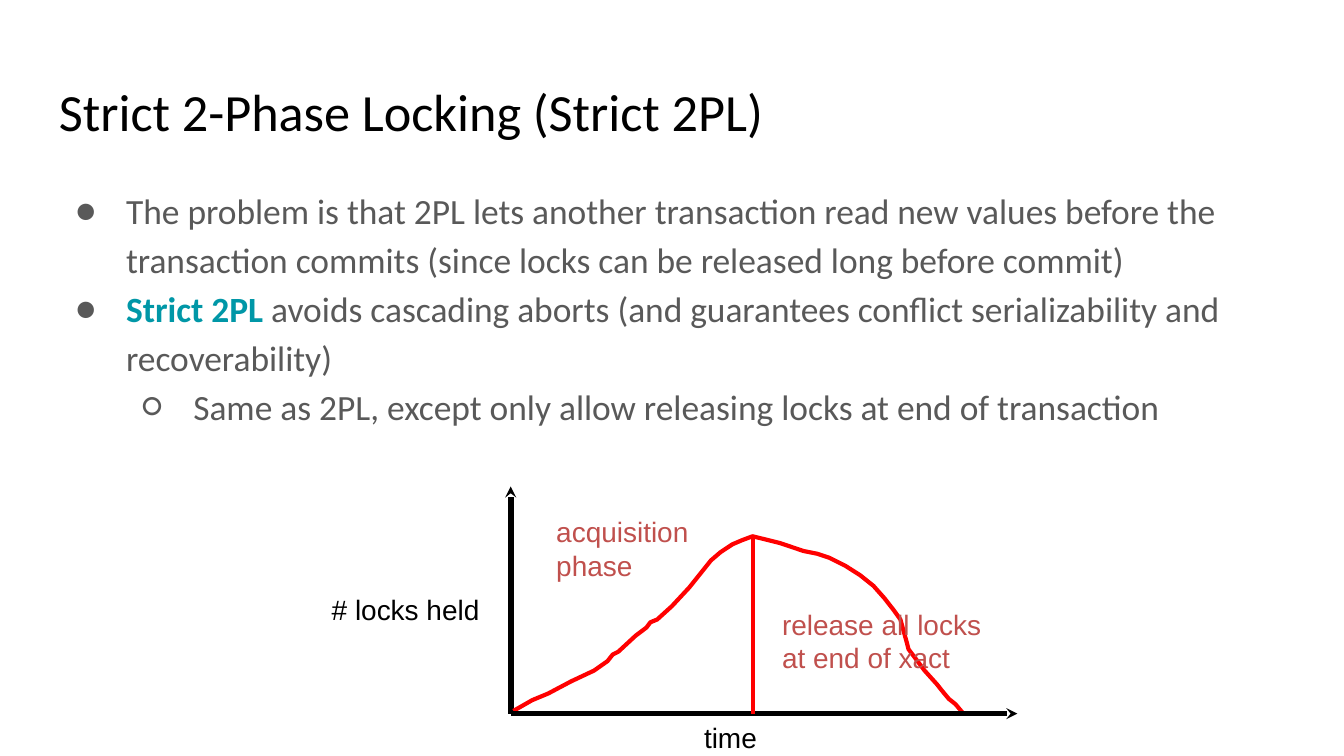
from dataclasses import dataclass

from lxml import etree
from pptx import Presentation
from pptx.dml.color import RGBColor
from pptx.enum.shapes import MSO_CONNECTOR
from pptx.oxml.ns import qn
from pptx.util import Inches, Pt

STRAIGHT = MSO_CONNECTOR.STRAIGHT


@dataclass(frozen=True)
class Theme:
    black: str = "000000"
    body: str = "595959"
    accent: str = "0097A7"
    curve: str = "FF0000"
    phase: str = "C0504D"
    text_font: str = "Calibri"
    label_font: str = "Arial"
    title_size: float = 28
    body_size: float = 19
    label_size: float = 15
    axis_width: float = 3
    curve_width: float = 2.25


THEME = Theme()

BULLETS = [
    (0, "", "The problem is that 2PL lets another transaction read new values before the "
            "transaction commits (since locks can be released long before commit)"),
    (0, "Strict 2PL", " avoids cascading aborts (and guarantees conflict serializability "
                      "and recoverability)"),
    (1, "", "Same as 2PL, except only allow releasing locks at end of transaction"),
]
BULLET_MARKS = "●○"

LOCKS_OVER_TIME = [
    (0.02, 0.02), (0.16, 0.10), (0.28, 0.15), (0.45, 0.24), (0.62, 0.32), (0.72, 0.39),
    (0.76, 0.44), (0.80, 0.46), (0.93, 0.58), (1.01, 0.64), (1.04, 0.68), (1.09, 0.70),
    (1.20, 0.80), (1.33, 0.94), (1.41, 1.04), (1.49, 1.14), (1.56, 1.20), (1.65, 1.26),
    (1.72, 1.29), (1.80, 1.32), (2.00, 1.27), (2.18, 1.21), (2.28, 1.19), (2.37, 1.16),
    (2.49, 1.10), (2.60, 1.03), (2.70, 0.95), (2.78, 0.86), (2.85, 0.77), (2.90, 0.70),
    (2.95, 0.52), (2.96, 0.48), (3.08, 0.32), (3.17, 0.22), (3.21, 0.17), (3.26, 0.11),
    (3.31, 0.07), (3.36, 0.01),
]


def style_font(font, name, size, color):
    font.name = name
    font.size = Pt(size)
    font.color.rgb = RGBColor.from_string(color)


def add_text_frame(slide, box, vertical_inset):
    frame = slide.shapes.add_textbox(*map(Inches, box)).text_frame
    frame.word_wrap = True
    frame.margin_left = frame.margin_right = Inches(0.1)
    frame.margin_top = frame.margin_bottom = Inches(vertical_inset)
    return frame


def add_label(slide, box, text, color):
    paragraph = add_text_frame(slide, box, 0.05).paragraphs[0]
    paragraph.text = text
    style_font(paragraph.font, THEME.label_font, THEME.label_size, color)


def add_line(slide, start, end, color, width, arrow=False):
    points = map(Inches, (*start, *end))
    connector = slide.shapes.add_connector(STRAIGHT, *points)
    connector.line.color.rgb = RGBColor.from_string(color)
    connector.line.width = Pt(width)
    if arrow:
        line = connector.line._get_or_add_ln()
        etree.SubElement(line, qn("a:tailEnd"), type="stealth", w="sm", len="sm")
    etree.SubElement(connector._element.spPr, qn("a:effectLst"))


def add_title(slide, box):
    paragraph = add_text_frame(slide, box, 0.1).paragraphs[0]
    paragraph.text = "Strict 2-Phase Locking (Strict 2PL)"
    style_font(paragraph.font, THEME.text_font, THEME.title_size, THEME.black)


def set_bullet(paragraph, level):
    properties = paragraph._p.get_or_add_pPr()
    properties.set("marL", str(Inches(0.5 * (level + 1))))
    properties.set("indent", str(Inches(-0.38)))
    bullet_color = etree.SubElement(properties, qn("a:buClr"))
    etree.SubElement(bullet_color, qn("a:srgbClr"), val=THEME.body)
    etree.SubElement(properties, qn("a:buFont"), typeface=THEME.text_font)
    etree.SubElement(properties, qn("a:buChar"), char=BULLET_MARKS[level])


def add_bullets(slide, box):
    frame = add_text_frame(slide, box, 0.1)
    for index, (level, term, text) in enumerate(BULLETS):
        paragraph = frame.add_paragraph() if index else frame.paragraphs[0]
        paragraph.level = level
        paragraph.line_spacing = 1.15
        set_bullet(paragraph, level)
        style_font(paragraph.font, THEME.text_font, THEME.body_size, THEME.body)
        if term:
            run = paragraph.add_run()
            run.text = term
            run.font.bold = True
            run.font.color.rgb = RGBColor.from_string(THEME.accent)
        paragraph.add_run().text = text


def add_lock_diagram(slide, box):
    left, top, width, height = box
    bottom = top + height
    origin = (left, bottom)

    add_line(slide, origin, (left, top), THEME.black, THEME.axis_width, arrow=True)
    add_label(slide, (left - 1.43, top + 0.74, 1.4, 0.32), "# locks held", THEME.black)

    points = [(Inches(left + time), Inches(bottom - locks)) for time, locks in LOCKS_OVER_TIME]
    builder = slide.shapes.build_freeform(*points[0])
    builder.add_line_segments(points[1:], close=False)
    curve = builder.convert_to_shape()
    curve.shadow.inherit = False
    curve.fill.background()
    curve.line.color.rgb = RGBColor.from_string(THEME.curve)
    curve.line.width = Pt(THEME.curve_width)

    add_label(slide, (left + 0.24, top + 0.16, 1.51, 0.57), "acquisition phase", THEME.phase)
    add_line(slide, origin, (left + width, bottom), THEME.black, THEME.axis_width, arrow=True)
    add_label(slide, (left + 1.34, bottom, 0.7, 0.32), "time", THEME.black)

    peak_time, peak_locks = max(LOCKS_OVER_TIME, key=lambda point: point[1])
    peak_left = left + peak_time
    add_line(slide, (peak_left, bottom - peak_locks), (peak_left, bottom),
             THEME.curve, THEME.curve_width)
    add_label(slide, (left + 1.92, top + 0.85, 1.91, 0.57),
              "release all locks at end of xact", THEME.phase)


def main():
    presentation = Presentation()
    presentation.slide_width = Inches(10)
    presentation.slide_height = presentation.slide_width * 9 // 16
    slide = presentation.slides.add_slide(presentation.slide_layouts[6])
    add_title(slide, (0.34, 0.49, 9.32, 0.63))
    add_bullets(slide, (0.34, 1.26, 9.39, 3.74))
    add_lock_diagram(slide, (3.8, 3.62, 3.77, 1.69))
    presentation.save("out.pptx")


if __name__ == "__main__":
    main()
